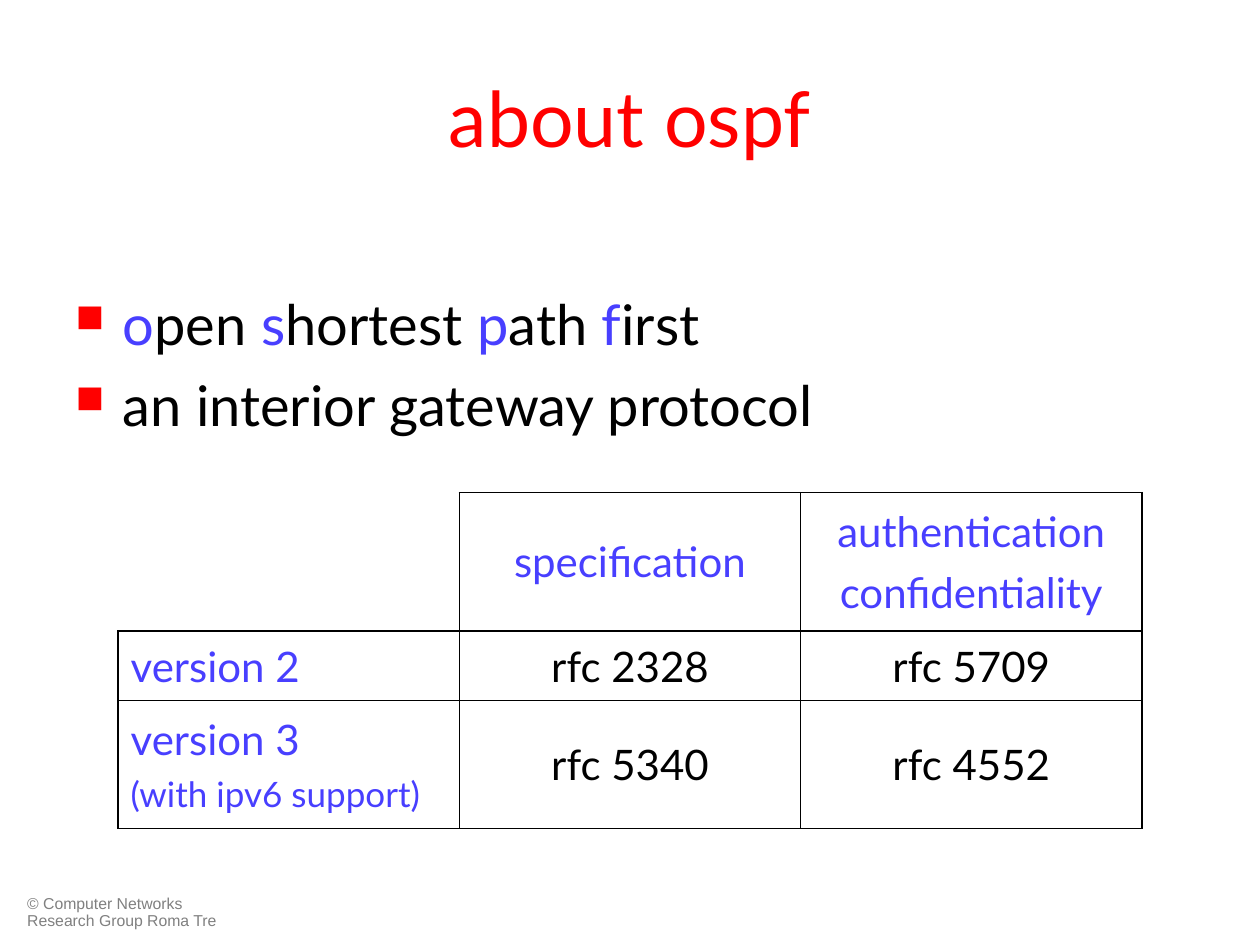
from dataclasses import dataclass

from lxml.etree import SubElement
from pptx import Presentation
from pptx.dml.color import RGBColor as RGB
from pptx.enum.text import MSO_ANCHOR as Anchor, PP_ALIGN as Align
from pptx.oxml.ns import qn
from pptx.util import Pt


@dataclass(frozen=True)
class Theme:
    font: str = "Lato"
    footer_font: str = "Arial"
    red: str = "FF0000"
    blue: str = "483FFF"
    black: str = "000000"
    gray: str = "808080"
    title_size: float = 44
    bullet_size: float = 32
    cell_size: float = 24
    note_size: float = 20
    footer_size: float = 9
    outer_line: float = 1.08
    inner_line: float = 0.45


THEME = Theme()
TITLE = "about ospf"
ACRONYM_WORDS = ["open", "shortest", "path", "first"]
FACT = "an interior gateway protocol"
COPYRIGHT = "© Computer Networks Research Group Roma Tre"
VERSIONS = [
    ["", "specification", "authentication\nconfidentiality"],
    ["version 2", "rfc 2328", "rfc 5709"],
    ["version 3\n(with ipv6 support)", "rfc 5340", "rfc 4552"],
]
ROW_HEIGHTS = [79, 40, 73]


def style_run(run, size, color, font=THEME.font):
    run.font.name = font
    run.font.size = Pt(size)
    run.font.color.rgb = RGB.from_string(color)


def add_square_bullet(paragraph, indent=27):
    properties = paragraph._p.get_or_add_pPr()
    properties.set("marL", str(Pt(indent)))
    properties.set("indent", str(-Pt(indent)))
    color = SubElement(properties, qn("a:buClr"))
    SubElement(color, qn("a:srgbClr"), val=THEME.red)
    SubElement(properties, qn("a:buSzPct"), val="70000")
    SubElement(properties, qn("a:buChar"), char="■")


def set_borders(cell, widths):
    """Draw the left, right, top and bottom borders; a width of 0 hides one."""
    properties = cell._tc.get_or_add_tcPr()
    for side, width in zip("LRTB", widths):
        line = SubElement(properties, qn(f"a:ln{side}"), w=str(Pt(width)))
        if width:
            fill = SubElement(line, qn("a:solidFill"))
            SubElement(fill, qn("a:srgbClr"), val=THEME.black)
        else:
            SubElement(line, qn("a:noFill"))


def place_title(slide, left, top, width, height):
    title = slide.shapes.title
    title.left, title.top = Pt(left), Pt(top)
    title.width, title.height = Pt(width), Pt(height)
    frame = title.text_frame
    frame.text = TITLE
    frame.vertical_anchor = Anchor.MIDDLE
    frame.paragraphs[0].alignment = Align.CENTER
    style_run(frame.paragraphs[0].runs[0], THEME.title_size, THEME.red)


def place_bullets(slide, left, top, width, height):
    frame = slide.shapes.add_textbox(Pt(left), Pt(top), Pt(width), Pt(height)).text_frame
    frame.word_wrap = True

    expansion = frame.paragraphs[0]
    add_square_bullet(expansion)
    for number, word in enumerate(ACRONYM_WORDS, 1):
        gap = " " if number < len(ACRONYM_WORDS) else ""
        for text, color in [(word[0], THEME.blue), (word[1:] + gap, THEME.black)]:
            run = expansion.add_run()
            run.text = text
            style_run(run, THEME.bullet_size, color)

    fact = frame.add_paragraph()
    fact.text = FACT
    fact.space_before = Pt(8)
    add_square_bullet(fact)
    style_run(fact.runs[0], THEME.bullet_size, THEME.black)


def fill_cell(cell, text, is_row_label, is_header):
    cell.vertical_anchor = Anchor.MIDDLE
    cell.text_frame.text = text
    for number, paragraph in enumerate(cell.text_frame.paragraphs):
        is_note = is_row_label and number > 0
        paragraph.alignment = Align.LEFT if is_row_label else Align.CENTER
        if number:
            paragraph.space_before = Pt(5 if is_note else 6)
        for run in paragraph.runs:
            style_run(run, THEME.note_size if is_note else THEME.cell_size,
                      THEME.blue if is_row_label or is_header else THEME.black)


def place_versions_table(slide, left, top, width):
    count = len(VERSIONS[0])
    table = slide.shapes.add_table(len(VERSIONS), count, Pt(left), Pt(top),
                                   Pt(width), Pt(sum(ROW_HEIGHTS))).table
    table.first_row = table.horz_banding = False
    for column in table.columns:
        column.width = Pt(width / count)
    for row, height in zip(table.rows, ROW_HEIGHTS):
        row.height = Pt(height)

    # Only the grid line between the two data rows or columns is thin.
    edges = [THEME.outer_line, THEME.outer_line, THEME.inner_line, THEME.outer_line]
    for r, texts in enumerate(VERSIONS):
        for c, text in enumerate(texts):
            cell = table.cell(r, c)
            fill_cell(cell, text, is_row_label=c == 0, is_header=r == 0)
            is_corner = r == c == 0
            set_borders(cell, [0 if is_corner else edges[c], edges[c + 1],
                               0 if is_corner else edges[r], edges[r + 1]])
            cell.fill.background()


def place_footer(slide, left, top, width, height):
    frame = slide.shapes.add_textbox(Pt(left), Pt(top), Pt(width), Pt(height)).text_frame
    frame.word_wrap = True
    frame.text = COPYRIGHT
    frame.paragraphs[0].line_spacing = 0.9
    style_run(frame.paragraphs[0].runs[0], THEME.footer_size, THEME.gray, THEME.footer_font)


def main():
    deck = Presentation()
    deck.slide_width, deck.slide_height = Pt(720), Pt(540)
    slide = deck.slides.add_slide(deck.slide_layouts[5])
    place_footer(slide, 8.5, 508.5, 124.5, 26)
    place_title(slide, 36, 21.6, 648, 90)
    place_bullets(slide, 36, 162, 648, 320)
    place_versions_table(slide, 67.5, 281.5, 585)
    deck.save("out.pptx")


if __name__ == "__main__":
    main()
